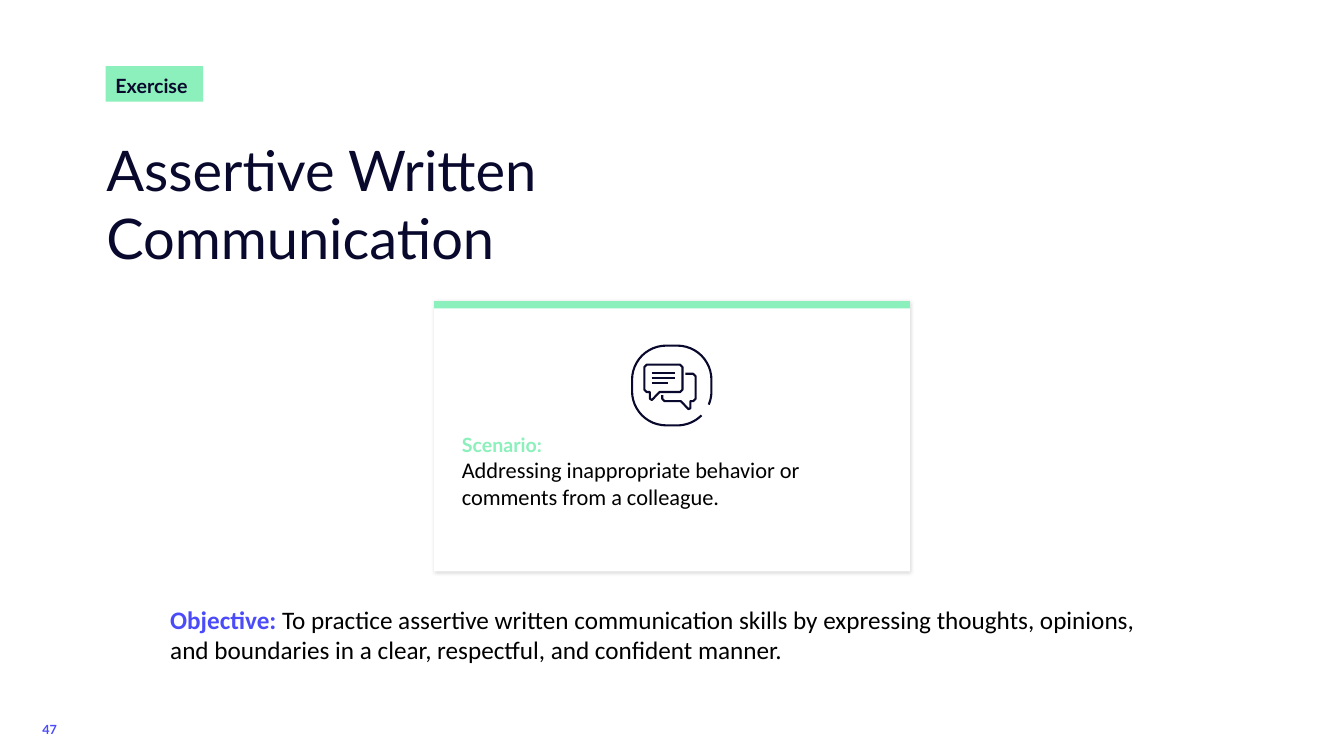
from math import cos, radians, sin

from lxml import etree
from pptx import Presentation
from pptx.dml.color import RGBColor
from pptx.enum.shapes import MSO_CONNECTOR, MSO_SHAPE
from pptx.enum.text import MSO_ANCHOR, MSO_AUTO_SIZE, PP_ALIGN
from pptx.oxml import parse_xml
from pptx.oxml.ns import nsdecls, qn
from pptx.util import Cm, Pt

NAVY = RGBColor(0x09, 0x09, 0x2D)
MINT = RGBColor(0x8B, 0xF0, 0xBB)
VIOLET = RGBColor(0x4B, 0x4B, 0xF9)
WHITE = RGBColor(0xFF, 0xFF, 0xFF)
BLACK = RGBColor(0, 0, 0)
STROKE = Pt(1.5)

prs = Presentation()
prs.slide_width, prs.slide_height = Cm(33.87), Cm(19.05)
s = prs.slides.add_slide(prs.slide_layouts[5])


def write(sp, paragraphs, margins=(0.25, 0.13, 0.25, 0.13), anchor=MSO_ANCHOR.TOP, wrap=True):
    """Fill a shape with paragraphs of (text, size, font, colour, bold) runs."""
    tf = sp.text_frame
    tf.word_wrap, tf.auto_size, tf.vertical_anchor = wrap, MSO_AUTO_SIZE.NONE, anchor
    tf.margin_left, tf.margin_top, tf.margin_right, tf.margin_bottom = map(Cm, margins)
    for i, runs in enumerate(paragraphs):
        p = tf.paragraphs[0] if i == 0 else tf.add_paragraph()
        p.alignment = PP_ALIGN.LEFT
        for text, size, font, color, bold in runs:
            r = p.add_run()
            r.text = text
            r.font.size, r.font.name, r.font.bold = Pt(size), font, bold
            r.font.color.rgb = color


def box(left, top, width, height, color):
    """Add a filled rectangle without outline or shadow."""
    sp = s.shapes.add_shape(MSO_SHAPE.RECTANGLE, Cm(left), Cm(top), Cm(width), Cm(height))
    sp.fill.solid()
    sp.fill.fore_color.rgb = color
    sp.line.fill.background()
    sp.shadow.inherit = False
    return sp


# Title and tag
title = s.shapes.title
title.left, title.top, title.width, title.height = Cm(2.43), Cm(3.28), Cm(14.1), Cm(3.68)
write(title, [[("Assertive Written Communication", 40, "Lato", NAVY, False)]],
      anchor=MSO_ANCHOR.MIDDLE)

tag = box(2.66, 1.67, 2.46, 0.89, MINT)
write(tag, [[("Exercise", 14, "Lato", NAVY, True)]], (0.25, 0.2, 0.25, 0.1),
      MSO_ANCHOR.MIDDLE, wrap=False)

# Scenario card with soft shadow and top bar
card = box(10.94, 7.59, 11.99, 6.81, WHITE)
effects = card.fill._xPr.find(qn("a:effectLst"))
effects.append(parse_xml(
    f'<a:outerShdw {nsdecls("a")} blurRad="38100" dist="12700" dir="2700000" algn="tl" '
    'rotWithShape="0"><a:srgbClr val="000000"><a:alpha val="15000"/></a:srgbClr></a:outerShdw>'))
box(10.94, 7.59, 11.99, 0.18, MINT)

# Text boxes: scenario, objective, page number
text_boxes = [
    ((10.93, 10.78, 11.99, 2.24), (0.71, 0.13, 0.71, 0.13), [
        [("Scenario:", 14, "Lato", MINT, True)],
        [("Addressing inappropriate behavior or comments from a colleague.",
          16, "Calibri", BLACK, False)]]),
    ((4.04, 15.09, 25.4, 1.8), (0.25, 0.13, 0.25, 0.13), [
        [("Objective: ", 18, "Calibri", VIOLET, True),
         ("To practice assertive written communication skills by expressing thoughts, "
          "opinions, and boundaries in a clear, respectful, and confident manner.",
          18, "Calibri", BLACK, False)]]),
    ((0.94, 18.06, 1.02, 0.61), (0.13, 0.13, 0.13, 0.13), [
        [("47", 9, "Lato", VIOLET, True)]]),
]
for place, margins, paragraphs in text_boxes:
    write(s.shapes.add_textbox(*map(Cm, place)), paragraphs, margins)

# Icon ring: four rounded corners, open at the lower right
RADIUS = 0.86
corners = [(17.07, 9.86, 45, 90), (16.79, 9.86, 90, 180), (16.79, 9.57, 180, 270),
           (17.07, 9.57, 270, 360), (17.07, 9.86, 360, 383)]
ring = []
for x, y, first, last in corners:
    for step in range(13):
        angle = radians(first + (last - first) * step / 12)
        ring.append((x + RADIUS * cos(angle), y + RADIUS * sin(angle)))

# Icon speech bubbles
front_bubble = [(16.38, 9.88), (16.3, 9.88), (16.24, 9.82), (16.24, 9.25), (16.3, 9.19),
                (17.14, 9.19), (17.2, 9.25), (17.2, 9.82), (17.14, 9.88), (16.62, 9.88),
                (16.43, 10.08), (16.38, 10.05)]
back_bubble = [(17.27, 9.42), (17.47, 9.42), (17.53, 9.48), (17.53, 10.05), (17.47, 10.11),
               (17.4, 10.11), (17.4, 10.29), (17.35, 10.31), (17.16, 10.11), (16.75, 10.11),
               (16.69, 10.05), (16.69, 9.96)]
for points, closed in [(ring, False), (front_bubble, True), (back_bubble, False)]:
    outline = [(Cm(x), Cm(y)) for x, y in points]
    builder = s.shapes.build_freeform(*outline[0])
    builder.add_line_segments(outline[1:], close=closed)
    sp = builder.convert_to_shape()
    sp.fill.background()
    sp.line.color.rgb, sp.line.width = NAVY, STROKE
    sp.shadow.inherit = False

# Icon text lines
for y, right in [(9.4, 17), (9.53, 17), (9.66, 16.84)]:
    line = s.shapes.add_connector(MSO_CONNECTOR.STRAIGHT, Cm(16.42), Cm(y), Cm(right), Cm(y))
    line.line.color.rgb, line.line.width = NAVY, STROKE
    etree.SubElement(line._element.spPr, qn("a:effectLst"))

prs.save("out.pptx")
